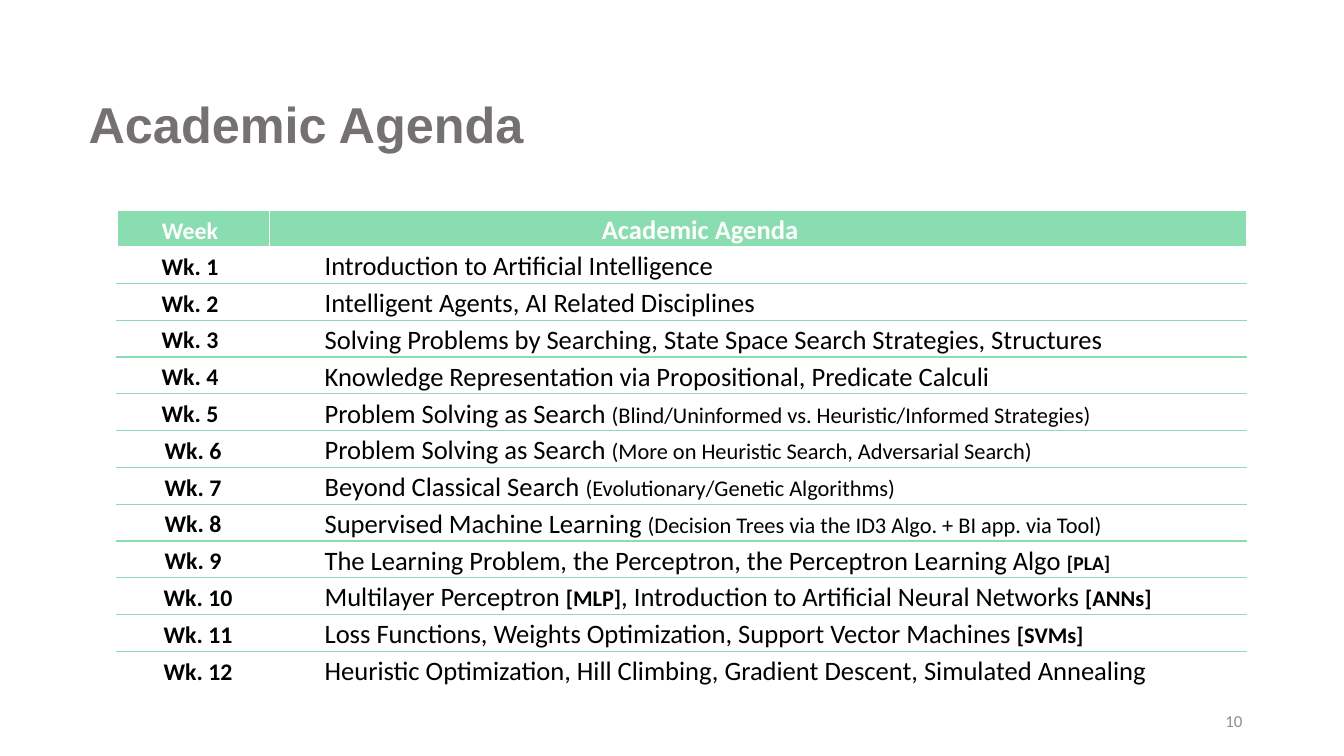
from lxml import etree
from pptx import Presentation
from pptx import util as u
from pptx.dml.color import RGBColor
from pptx.enum import text
from pptx.oxml import ns

GREEN, WHITE, BLACK = "8ADDB0", "FFFFFF", "000000"
GREY, PALE = "767171", "8C8C8C"
WEEK_SIZE, TOPIC_SIZE, NOTE_SIZE = 17, 19, 16

TOPICS = [
    [("Introduction to Artificial Intelligence",)],
    [("Intelligent Agents, AI Related Disciplines",)],
    [("Solving Problems by Searching, State Space Search Strategies, Structures",)],
    [("Knowledge Representation via Propositional, Predicate Calculi",)],
    [("Problem Solving as Search ",),
     ("(Blind/Uninformed vs. Heuristic/Informed Strategies)", NOTE_SIZE)],
    [("Problem Solving as Search ",),
     ("(More on Heuristic Search, Adversarial Search)", NOTE_SIZE)],
    [("Beyond Classical Search ",),
     ("(Evolutionary/Genetic Algorithms)", NOTE_SIZE)],
    [("Supervised Machine Learning ",),
     ("(Decision Trees via the ID3 Algo. + BI app. via Tool)", NOTE_SIZE)],
    [("The Learning Problem, the Perceptron, the Perceptron Learning Algo ",),
     ("[PLA]", 14, True)],
    [("Multilayer Perceptron ",), ("[MLP]", NOTE_SIZE, True),
     (", Introduction to Artificial Neural Networks ",),
     ("[ANNs]", NOTE_SIZE, True)],
    [("Loss Functions, Weights Optimization, Support Vector Machines ",),
     ("[SVMs]", NOTE_SIZE, True)],
    [("Heuristic Optimization, Hill Climbing, Gradient Descent, Simulated Annealing",)],
]


def rgb(value):
    return RGBColor.from_string(value)


def add_run(p, content, size=TOPIC_SIZE, bold=False, color=BLACK, font="Calibri"):
    r = p.add_run()
    r.text = content
    r.font.size = u.Pt(size)
    r.font.bold = bold
    r.font.name = font
    r.font.color.rgb = rgb(color)


class AgendaSlide:
    """Holds the slide and draws its text boxes and agenda table."""

    def __init__(self, prs):
        self.s = prs.slides.add_slide(prs.slide_layouts[6])

    def label(self, content, box, align=text.PP_ALIGN.LEFT, **style):
        tf = self.s.shapes.add_textbox(*map(u.Inches, box)).text_frame
        tf.word_wrap = True
        tf.vertical_anchor = text.MSO_ANCHOR.MIDDLE
        p = tf.paragraphs[0]
        p.alignment = align
        add_run(p, content, **style)

    def table(self, box, widths, header_height, rows):
        table = self.s.shapes.add_table(
            rows, len(widths), *map(u.Inches, box)).table
        table.first_row = table.horz_banding = False
        for column, width in zip(table.columns, widths):
            column.width = u.Inches(width)
        row_height = (box[3] - header_height) / (rows - 1)
        for i, row in enumerate(table.rows):
            row.height = u.Inches(row_height if i else header_height)
        return table

    def borders(self, cell, top, bottom):
        tc_pr = cell._tc.get_or_add_tcPr()
        for side, color in zip("LRTB", (WHITE, WHITE, top, bottom)):
            ln = etree.SubElement(tc_pr, ns.qn(f"a:ln{side}"), w=str(u.Pt(1)))
            fill = etree.SubElement(ln, ns.qn("a:solidFill"))
            etree.SubElement(fill, ns.qn("a:srgbClr"), val=color)

    def cell(self, cell, runs, top, bottom, margins, fill=None,
             align=text.PP_ALIGN.LEFT, **style):
        self.borders(cell, top, bottom)
        if fill:
            cell.fill.solid()
            cell.fill.fore_color.rgb = rgb(fill)
        else:
            cell.fill.background()
        left, upper, right = map(u.Inches, margins)
        cell.margin_left, cell.margin_top = left, upper
        cell.margin_right, cell.margin_bottom = right, 0
        p = cell.text_frame.paragraphs[0]
        p.alignment = align
        for run in runs:
            add_run(p, *run, **style)

    def agenda(self):
        last = len(TOPICS)
        table = self.table((1.16, 2.09, 11.2, 4.73), (1.51, 9.69),
                           0.35, last + 1)
        center = text.PP_ALIGN.CENTER
        self.cell(table.cell(0, 0), [("Week", WEEK_SIZE, True)], WHITE, WHITE,
                  (0, 0.06, 0.06), GREEN, center, color=WHITE)
        self.cell(table.cell(0, 1), [("Academic Agenda", TOPIC_SIZE, True)],
                  WHITE, WHITE, (3.3, 0.04, 0), GREEN, color=WHITE)
        for week, topic in enumerate(TOPICS, 1):
            top = WHITE if week == 1 else GREEN
            bottom = WHITE if week == last else GREEN
            left = 0.1 if week > 9 else 0
            right = 0.06 if week < 6 else 0
            self.cell(table.cell(week, 0), [(f"Wk. {week}", WEEK_SIZE, True)],
                      top, bottom, (left, 0.06, right), align=center)
            self.cell(table.cell(week, 1), topic, top, bottom, (0.55, 0.04, 0))


def main():
    prs = Presentation()
    prs.slide_width, prs.slide_height = u.Inches(13.33), u.Inches(7.5)
    slide = AgendaSlide(prs)
    slide.label("Academic Agenda", (0.78, 0.83, 4.75, 0.79),
                size=36, bold=True, color=GREY, font="Arial")
    slide.agenda()
    slide.label("10", (9.42, 6.95, 3, 0.4), text.PP_ALIGN.RIGHT,
                size=12, color=PALE)
    prs.save("out.pptx")


if __name__ == "__main__":
    main()
